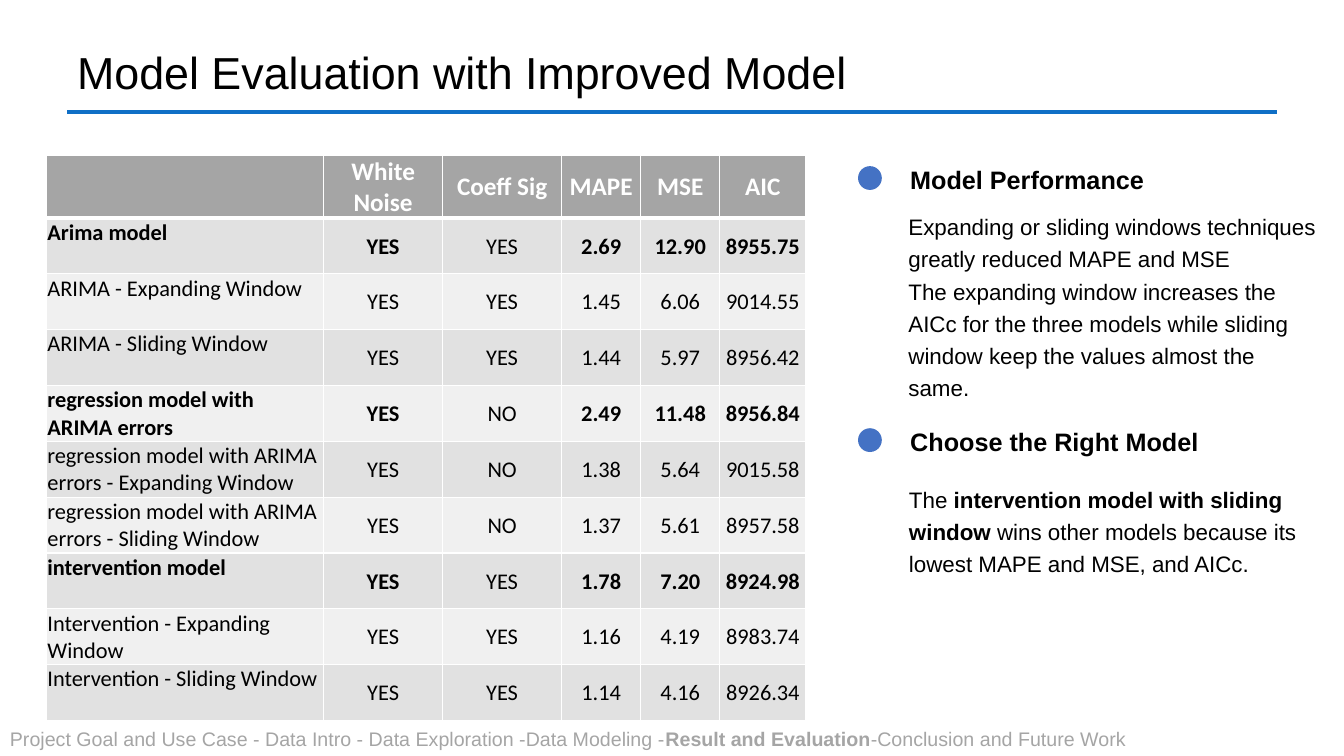
from lxml import etree
from pptx import Presentation
from pptx.dml.color import RGBColor
from pptx.enum.shapes import MSO_CONNECTOR, MSO_SHAPE
from pptx.enum.text import MSO_ANCHOR, PP_ALIGN
from pptx.oxml.ns import qn
from pptx.util import Pt

TOP, MIDDLE = MSO_ANCHOR.TOP, MSO_ANCHOR.MIDDLE
LEFT, CENTER = PP_ALIGN.LEFT, PP_ALIGN.CENTER
STRAIGHT, OVAL = MSO_CONNECTOR.STRAIGHT, MSO_SHAPE.OVAL

BLACK = RGBColor(0x00, 0x00, 0x00)
WHITE = RGBColor(0xFF, 0xFF, 0xFF)
GRAY = RGBColor(0xA5, 0xA5, 0xA5)
BANDS = (RGBColor(0xE1, 0xE1, 0xE1), RGBColor(0xF0, 0xF0, 0xF0))
RULE_BLUE = RGBColor(0x0F, 0x6F, 0xC6)
BULLET_BLUE = RGBColor(0x44, 0x72, 0xC4)

TITLE = "Model Evaluation with Improved Model"
HEADER = ("", "White Noise", "Coeff Sig", "MAPE", "MSE", "AIC")
MODELS = [
    ("Arima model", "YES", "YES", "2.69", "12.90", "8955.75"),
    ("ARIMA - Expanding Window", "YES", "YES", "1.45", "6.06", "9014.55"),
    ("ARIMA - Sliding Window", "YES", "YES", "1.44", "5.97", "8956.42"),
    ("regression model with ARIMA errors", "YES", "NO", "2.49", "11.48", "8956.84"),
    ("regression model with ARIMA errors - Expanding Window", "YES", "NO", "1.38", "5.64", "9015.58"),
    ("regression model with ARIMA errors - Sliding Window", "YES", "NO", "1.37", "5.61", "8957.58"),
    ("intervention model", "YES", "YES", "1.78", "7.20", "8924.98"),
    ("Intervention - Expanding Window", "YES", "YES", "1.16", "4.19", "8983.74"),
    ("Intervention - Sliding Window", "YES", "YES", "1.14", "4.16", "8926.34"),
]
COEFF_COLUMN = 2
VARIANTS_PER_MODEL = 3

# A paragraph is a string or a list of (text, bold) runs.
# Heading, heading top, body box (left, top, width, height), body paragraphs
FINDINGS = [
    ("Model Performance", 110.9, (641.8, 144.9, 306, 144.7), [
        "Expanding or sliding windows techniques greatly reduced MAPE and MSE",
        "The expanding window increases the AICc for the three models "
        "while sliding window keep the values almost the same.",
    ]),
    ("Choose the Right Model", 298.1, (642.2, 339.8, 296.6, 74.9), [
        [("The ", False), ("intervention model with sliding window ", True),
         ("wins other models because its lowest MAPE and MSE, and AICc.", False)],
    ]),
]
AGENDA = [
    ("Project Goal and Use Case - Data Intro - Data Exploration -Data Modeling -", False),
    ("Result and Evaluation", True),
    ("-Conclusion and Future Work", False),
]

TABLE_LEFT, TABLE_TOP = 33.2, 111
COLUMN_WIDTHS = (198, 85, 85, 56.5, 56.5, 61.5)
HEADER_HEIGHT, ROW_HEIGHT = 44.7, 39.9
BULLET_LEFT, BULLET_SIZE, BULLET_DROP = 612.9, 17, 7.8
HEADING_LEFT = 650.2


def write_text(frame, paragraphs, size=16, font="Arial", color=BLACK, bold=False,
               align=LEFT, spacing=None):
    for index, content in enumerate(paragraphs):
        paragraph = frame.add_paragraph() if index else frame.paragraphs[0]
        paragraph.alignment = align
        if spacing:
            paragraph.line_spacing = spacing
        runs = [(content, bold)] if isinstance(content, str) else content
        for text, run_bold in runs:
            run = paragraph.add_run()
            run.text = text
            run.font.size = Pt(size)
            run.font.name = font
            run.font.bold = run_bold
            run.font.color.rgb = color


def add_text(slide, box, paragraphs, anchor=TOP, insets=(7.2, 3.6, 7.2, 3.6), **text_format):
    frame = slide.shapes.add_textbox(*map(Pt, box)).text_frame
    frame.word_wrap = True
    frame.vertical_anchor = anchor
    (frame.margin_left, frame.margin_top,
     frame.margin_right, frame.margin_bottom) = map(Pt, insets)
    write_text(frame, paragraphs, **text_format)


def add_borders(cell, bottom=1, top=1):
    properties = cell._tc.get_or_add_tcPr()
    for side, width in (("L", 1), ("R", 1), ("T", top), ("B", bottom)):
        line = etree.SubElement(properties, qn(f"a:ln{side}"), w=str(Pt(width)))
        fill = etree.SubElement(line, qn("a:solidFill"))
        etree.SubElement(fill, qn("a:srgbClr"), val=str(WHITE))


def fill_cell(cell, text, fill, anchor=MIDDLE, bottom=1, top=1, **text_format):
    cell.margin_left = cell.margin_top = cell.margin_right = Pt(0.7)
    cell.margin_bottom = Pt(0)
    cell.vertical_anchor = anchor
    add_borders(cell, bottom, top)
    cell.fill.solid()
    cell.fill.fore_color.rgb = fill
    if text:
        write_text(cell.text_frame, [text], font="Calibri", **text_format)


def add_model_table(slide):
    heights = [HEADER_HEIGHT] + [ROW_HEIGHT] * len(MODELS)
    table = slide.shapes.add_table(
        len(heights), len(HEADER), Pt(TABLE_LEFT), Pt(TABLE_TOP),
        Pt(sum(COLUMN_WIDTHS)), Pt(sum(heights))).table
    for column, width in zip(table.columns, COLUMN_WIDTHS):
        column.width = Pt(width)
    for row, height in zip(table.rows, heights):
        row.height = Pt(height)
    for column, text in enumerate(HEADER):
        fill_cell(table.cell(0, column), text, GRAY, bottom=3,
                  size=18, color=WHITE, bold=True, align=CENTER)
    for index, model in enumerate(MODELS):
        is_base = index % VARIANTS_PER_MODEL == 0
        for column, text in enumerate(model):
            fill_cell(table.cell(index + 1, column), text, BANDS[index % 2],
                      anchor=MIDDLE if column else TOP,
                      top=1 if index else 3,
                      bold=is_base and column != COEFF_COLUMN,
                      align=CENTER if column else LEFT)


def add_finding(slide, heading, top, body_box, body):
    bullet = slide.shapes.add_shape(OVAL, Pt(BULLET_LEFT), Pt(top + BULLET_DROP),
                                    Pt(BULLET_SIZE), Pt(BULLET_SIZE))
    bullet.shadow.inherit = False
    bullet.fill.solid()
    bullet.fill.fore_color.rgb = BULLET_BLUE
    bullet.line.fill.background()
    add_text(slide, (HEADING_LEFT, top, 255, 28), [heading],
             insets=(0, 6.5, 0, 0), size=18, bold=True)
    add_text(slide, body_box, body, spacing=1.2)


def add_title_rule(slide):
    rule = slide.shapes.add_connector(STRAIGHT, Pt(48), Pt(80), Pt(912), Pt(80))
    rule.line.color.rgb = RULE_BLUE
    rule.line.width = Pt(3)
    etree.SubElement(rule._element.spPr, qn("a:effectLst"))


def main():
    presentation = Presentation()
    presentation.slide_width, presentation.slide_height = Pt(960), Pt(540)
    slide = presentation.slides.add_slide(presentation.slide_layouts[6])
    add_title_rule(slide)
    add_model_table(slide)
    add_text(slide, (48, 28, 828, 51), [TITLE], anchor=MIDDLE, size=32, spacing=0.9)
    for finding in FINDINGS:
        add_finding(slide, *finding)
    add_text(slide, (0, 515.7, 843, 24.3), [AGENDA], size=14, color=GRAY)
    presentation.save("out.pptx")


if __name__ == "__main__":
    main()
